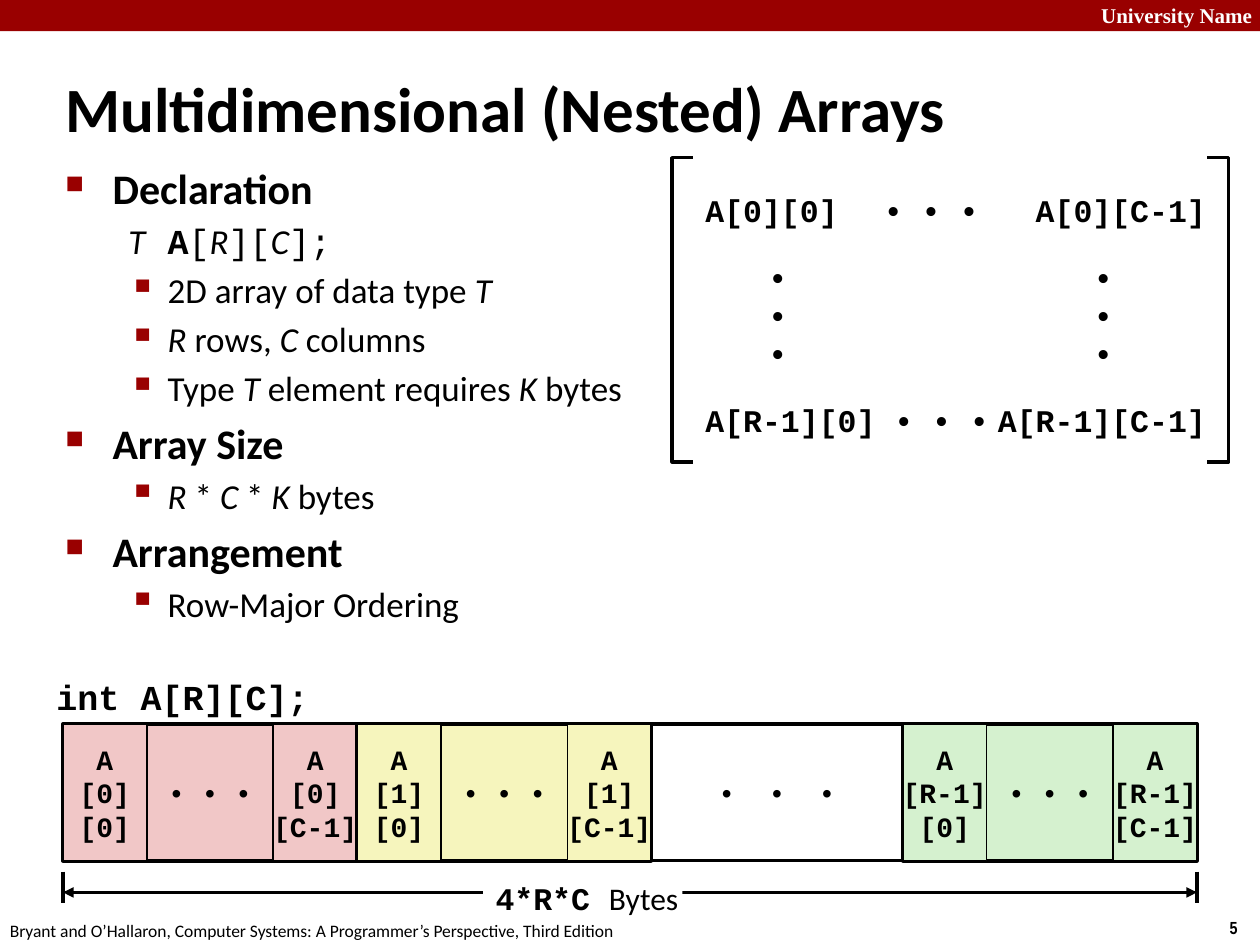
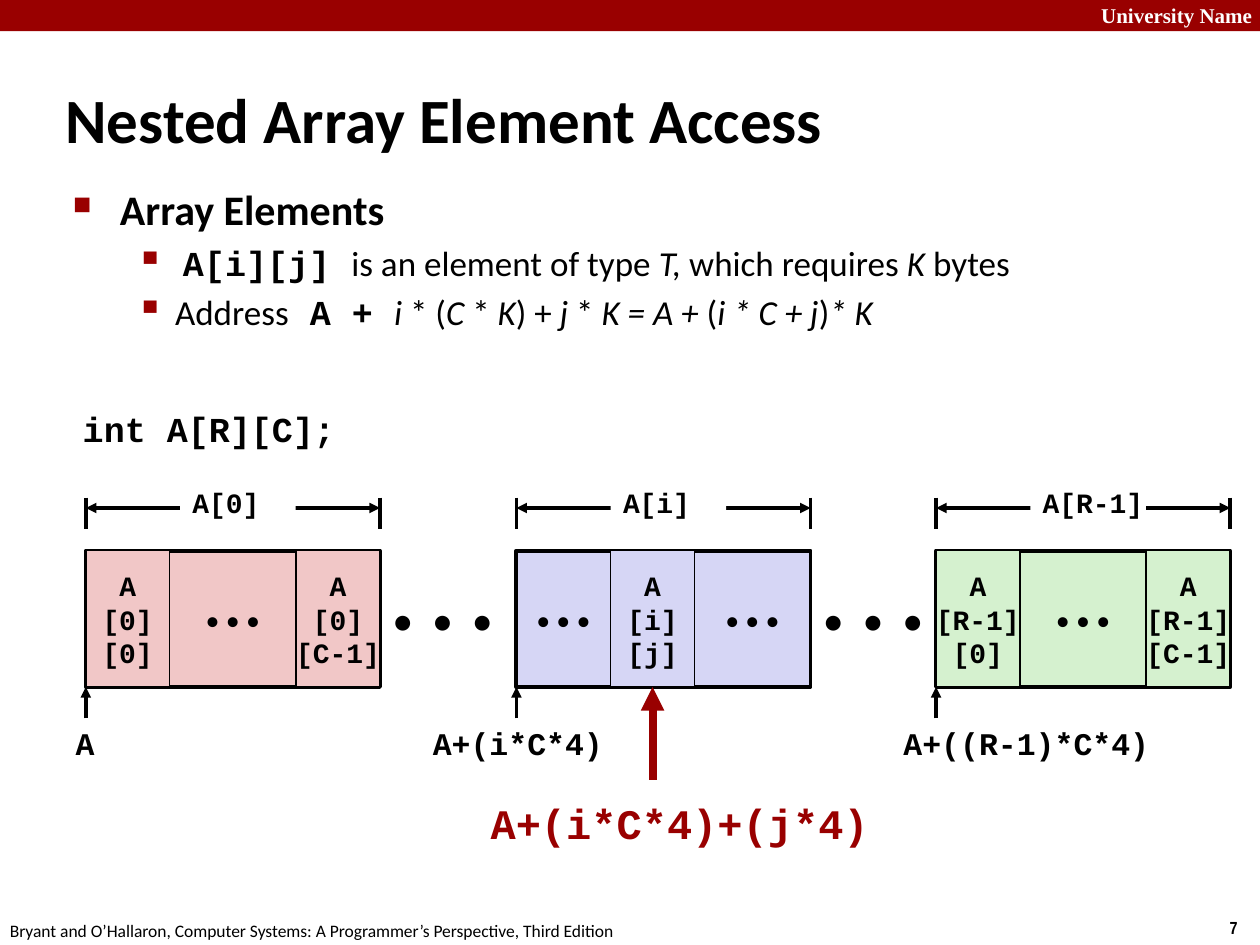
import pptx
import pptx.dml.color
import pptx.enum.shapes
import pptx.enum.text
import pptx.oxml.ns
import pptx.util
from lxml import etree

Cm = pptx.util.Cm
Pt = pptx.util.Pt
ALIGN = pptx.enum.text.PP_ALIGN
ANCHOR = pptx.enum.text.MSO_ANCHOR
RECT = pptx.enum.shapes.MSO_SHAPE.RECTANGLE
STRAIGHT = pptx.enum.shapes.MSO_CONNECTOR.STRAIGHT

BLACK, WHITE, CRIMSON = "000000", "FFFFFF", "990000"
PINK, YELLOW, GREEN, LAVENDER = "F1C7C7", "F6F5BD", "D5F1CF", "D6D6F5"
SANS, MONO = "Calibri", "Courier New"
CELL, BLOCK, BLOCK_HEIGHT = 1.69, 5.93, 2.75
DOTS = "• • •"

RUN_STYLES = {
    "plain": {},
    "italic": {"italic": True},
    "code": {"name": MONO, "bold": True},
    "light code": {"name": MONO},
    "sans": {"name": SANS, "bold": False},
}
OUTLINE_LEVELS = [
    {"size": 24, "bold": True, "margin": 0.95, "hanging": 0.95, "bullet": "■", "percent": 60},
    {"size": 20, "bold": False, "margin": 2.06, "hanging": 0.79, "bullet": "▪", "percent": 110},
]


def color(hex_code):
    return pptx.dml.color.RGBColor.from_string(hex_code)


def add_xml(parent, tag, **attributes):
    return etree.SubElement(parent, pptx.oxml.ns.qn(tag), attributes)


class Lecture:
    def __init__(self):
        self.deck = pptx.Presentation()
        self.deck.slide_width = Cm(25.4)
        self.deck.slide_height = Cm(19.05)
        self.slide = None

    def start(self, title, title_top, number):
        self.slide = self.deck.slides.add_slide(self.deck.slide_layouts[6])
        self.box(0, 0, 25.4, 0.63, fill=CRIMSON)
        self.text(21.95, -0.08, 3.63, 0.76, ["University Name"], 12, "Times New Roman",
                  ink=WHITE)
        self.text(24.54, 18.36, 0.86, 0.69, [number], 10, "Arial Narrow", wrap=False)
        self.text(-0.05, 18.42, 12.9, 0.69,
                  ["Bryant and O’Hallaron, Computer Systems: "
                   "A Programmer’s Perspective, Third Edition"],
                  10, SANS, bold=False, wrap=False)
        self.text(1.07, title_top, 22.43, 1.6, [title], 36, SANS, anchor=ANCHOR.MIDDLE)

    def style(self, font, size, name, bold, ink=BLACK):
        font.size = Pt(size)
        font.name = name
        font.bold = bold
        font.color.rgb = color(ink)

    def runs(self, paragraph, content, spacing=0):
        pieces = [(content, "plain")] if isinstance(content, str) else content
        for words, kind in pieces:
            run = paragraph.add_run()
            run.text = words
            for attribute, value in RUN_STYLES[kind].items():
                setattr(run.font, attribute, value)
            if spacing:
                run._r.get_or_add_rPr().set("spc", str(spacing))

    def fill_lines(self, frame, lines, size, name, bold, ink, align, spacing=0):
        for index, line in enumerate(lines):
            paragraph = frame.add_paragraph() if index else frame.paragraphs[0]
            paragraph.alignment = align
            self.style(paragraph.font, size, name, bold, ink)
            self.runs(paragraph, line, spacing)

    def text(self, left, top, width, height, lines, size, name=MONO, bold=True, ink=BLACK,
             align=ALIGN.LEFT, anchor=ANCHOR.TOP, wrap=True):
        frame = self.slide.shapes.add_textbox(
            Cm(left), Cm(top), Cm(width), Cm(height)).text_frame
        frame.word_wrap = wrap
        frame.vertical_anchor = anchor
        self.fill_lines(frame, lines, size, name, bold, ink, align)

    def box(self, left, top, width, height, lines=(), size=16, name=MONO, bold=True,
            align=ALIGN.CENTER, fill=WHITE, border=0, spacing=0):
        shape = self.slide.shapes.add_shape(RECT, Cm(left), Cm(top), Cm(width), Cm(height))
        shape.shadow.inherit = False
        if fill:
            shape.fill.solid()
            shape.fill.fore_color.rgb = color(fill)
        else:
            shape.fill.background()
        if border:
            shape.line.color.rgb = color(BLACK)
            shape.line.width = Pt(border)
        else:
            shape.line.fill.background()
        frame = shape.text_frame
        frame.word_wrap = False
        frame.vertical_anchor = ANCHOR.MIDDLE
        self.fill_lines(frame, lines, size, name, bold, BLACK, align, spacing)

    def line(self, x1, y1, x2, y2, ink=BLACK, weight=2, heads=()):
        connector = self.slide.shapes.add_connector(STRAIGHT, Cm(x1), Cm(y1), Cm(x2), Cm(y2))
        connector.line.color.rgb = color(ink)
        connector.line.width = Pt(weight)
        for end in heads:
            add_xml(connector.line._get_or_add_ln(), end, type="triangle")
        add_xml(connector._element.spPr, "a:effectLst")

    def span(self, left, right, top, arrow_top):
        for x in (left, right):
            self.line(x, top, x, top + 0.64)
        self.line(left, arrow_top, right, arrow_top, heads=("a:headEnd", "a:tailEnd"))

    def bracket(self, tip, spine, top, bottom):
        builder = self.slide.shapes.build_freeform(Cm(tip), Cm(top), scale=1.0)
        corners = [(spine, top), (spine, bottom), (tip, bottom)]
        builder.add_line_segments([(Cm(x), Cm(y)) for x, y in corners], close=False)
        shape = builder.convert_to_shape()
        shape.shadow.inherit = False
        shape.fill.background()
        shape.line.color.rgb = color(BLACK)
        shape.line.width = Pt(2)

    def outline(self, left, top, width, height, items):
        frame = self.slide.shapes.add_textbox(
            Cm(left), Cm(top), Cm(width), Cm(height)).text_frame
        frame.word_wrap = True
        for index, (depth, bulleted, content) in enumerate(items):
            level = OUTLINE_LEVELS[depth]
            paragraph = frame.add_paragraph() if index else frame.paragraphs[0]
            paragraph.level = depth
            paragraph.space_before = Pt(level["size"] * 0.2)
            properties = paragraph._p.get_or_add_pPr()
            properties.set("marL", str(Cm(level["margin"])))
            properties.set("indent", str(-Cm(level["hanging"])))
            if bulleted:
                add_xml(add_xml(properties, "a:buClr"), "a:srgbClr", val=CRIMSON)
                add_xml(properties, "a:buSzPct", val=str(level["percent"] * 1000))
                add_xml(properties, "a:buChar", char=level["bullet"])
            self.style(paragraph.font, level["size"], SANS, level["bold"])
            self.runs(paragraph, content)

    def cell(self, left, top, row, column, fill):
        self.box(left, top, CELL, BLOCK_HEIGHT, ["A", f"[{row}]", f"[{column}]"],
                 fill=fill, border=1)

    def array_row(self, left, top, row, fill, dots_font):
        self.box(left, top, BLOCK, BLOCK_HEIGHT, [DOTS], name=dots_font, bold=False,
                 fill=fill, border=2.25)
        self.cell(left, top, row, "0", fill)
        self.cell(left + BLOCK - CELL, top, row, "C-1", fill)

    def row_span(self, left, row):
        self.span(left, left + BLOCK, 10.03, 10.24)
        self.box(left + 1.9, 9.6, 2.33, 1.06, [f"A[{row}]"], align=ALIGN.LEFT)


def nested_arrays(lecture):
    lecture.start("Multidimensional (Nested) Arrays", 1.37, "5")
    lecture.outline(1.07, 3.15, 12.42, 10.13, [
        (0, True, "Declaration"),
        (1, False, [("T\t", "italic"), ("A", "code"), ("[", "light code"), ("R", "italic"),
                    ("][", "light code"), ("C", "italic"), ("];", "light code")]),
        (1, True, [("2D array of data type ", "plain"), ("T", "italic")]),
        (1, True, [("R", "italic"), (" rows, ", "plain"), ("C", "italic"),
                   (" columns", "plain")]),
        (1, True, [("Type ", "plain"), ("T", "italic"), (" element requires ", "plain"),
                   ("K", "italic"), (" bytes", "plain")]),
        (0, True, "Array Size"),
        (1, True, [("R", "italic"), (" * ", "plain"), ("C ", "italic"), ("* ", "plain"),
                   ("K ", "italic"), ("bytes", "plain")]),
        (0, True, "Arrangement"),
        (1, True, "Row-Major Ordering"),
    ])

    for top, row, dots_left in ((3.6, "0", 17.57), (7.83, "R-1", 17.78)):
        lecture.box(13.97, top, 3.39, 1.27, [f"A[{row}][0]"], 18, align=ALIGN.LEFT)
        lecture.box(dots_left, top, 2.54, 1.27, [DOTS], 18, align=ALIGN.LEFT, fill=None)
        lecture.box(21.17, top, 3.39, 1.27, [f"A[{row}][C-1]"], 18, align=ALIGN.RIGHT,
                    fill=None)
    for left in (15.24, 21.8):
        lecture.box(left, 5.29, 1.27, 2.12, ["•"] * 3, 18, align=ALIGN.LEFT)
    for tip, spine in ((13.97, 13.55), (24.34, 24.77)):
        lecture.bracket(tip, spine, 3.18, 9.31)

    lecture.text(0.89, 13.49, 5.59, 1.09, ["int A[R][C];"], 20, align=ALIGN.RIGHT, wrap=False)
    left, top, right = 1.27, 14.6, 24.13
    last_left = right - BLOCK
    lecture.array_row(left, top, "0", PINK, MONO)
    lecture.array_row(left + BLOCK, top, "1", YELLOW, MONO)
    lecture.array_row(last_left, top, "R-1", GREEN, MONO)
    skipped_left = left + 2 * BLOCK
    lecture.box(skipped_left, top, last_left - skipped_left, BLOCK_HEIGHT, [DOTS],
                bold=False, border=2, spacing=480)
    lecture.span(left, right, 17.57, 17.99)
    lecture.box(9.74, 17.57, 4.02, 1.06, [[("4*R*C ", "plain"), ("Bytes", "sans")]], 18,
                align=ALIGN.LEFT)


def element_access(lecture):
    lecture.start("Nested Array Element Access", 1.59, "7")
    lecture.outline(1.22, 3.58, 21.64, 4.04, [
        (0, True, "Array Elements"),
        (1, True, [(" ", "plain"), ("A[i][j] ", "code"), ("is an element of type ", "plain"),
                   ("T, ", "italic"), ("which requires ", "plain"), ("K", "italic"),
                   (" bytes", "plain")]),
        (1, True, [("Address", "plain"), (" A + ", "code"), ("i ", "italic"),
                   ("* (", "plain"), ("C ", "italic"), ("* ", "plain"), ("K", "italic"),
                   (") + ", "plain"), ("j", "italic"), (" * ", "plain"),
                   ("K = A + ", "italic"), ("(", "plain"), ("i * C + j", "italic"),
                   (")", "plain"), ("* K", "italic")]),
    ])
    lecture.text(1.42, 8.1, 5.59, 1.09, ["int A[R][C];"], 20, align=ALIGN.RIGHT, wrap=False)

    top = 11.1
    bottom = top + BLOCK_HEIGHT
    first, middle, last = 1.73, 10.41, 18.87
    element = middle + 1.9
    element_right = element + CELL
    middle_right = middle + BLOCK

    for gap_left in (first + BLOCK, middle_right):
        lecture.box(gap_left, top, 2.75, BLOCK_HEIGHT, [DOTS], 24, SANS, False,
                    ALIGN.LEFT, spacing=270)
    lecture.array_row(first, top, "0", PINK, SANS)
    lecture.box(middle, top, BLOCK, BLOCK_HEIGHT, fill=LAVENDER, border=2.25)
    for left, right in ((middle, element), (element_right, middle_right)):
        lecture.box(left, top, right - left, BLOCK_HEIGHT, [DOTS], name=SANS, bold=False,
                    fill=None)
    lecture.cell(element, top, "i", "j", LAVENDER)
    lecture.array_row(last, top, "R-1", GREEN, SANS)

    for left, row, address, address_left, address_width in (
            (first, "0", "A", 1.17, 1.09),
            (middle, "i", "A+(i*C*4)", 8.43, 4.02),
            (last, "R-1", "A+((R-1)*C*4)", 17.83, 5.72)):
        lecture.row_span(left, row)
        lecture.line(left, bottom + 0.63, left, bottom, heads=("a:tailEnd",))
        lecture.text(address_left, 14.48, address_width, 1.02, [address], 18,
                     align=ALIGN.CENTER)

    target = element + CELL / 2
    lecture.line(target, 15.72, target, bottom, CRIMSON, 4.5, ("a:tailEnd",))
    lecture.text(9.6, 15.95, 8.2, 1.27, ["A+(i*C*4)+(j*4)"], 24, ink=CRIMSON,
                 align=ALIGN.CENTER)


def main():
    lecture = Lecture()
    nested_arrays(lecture)
    element_access(lecture)
    lecture.deck.save("out.pptx")


if __name__ == "__main__":
    main()
